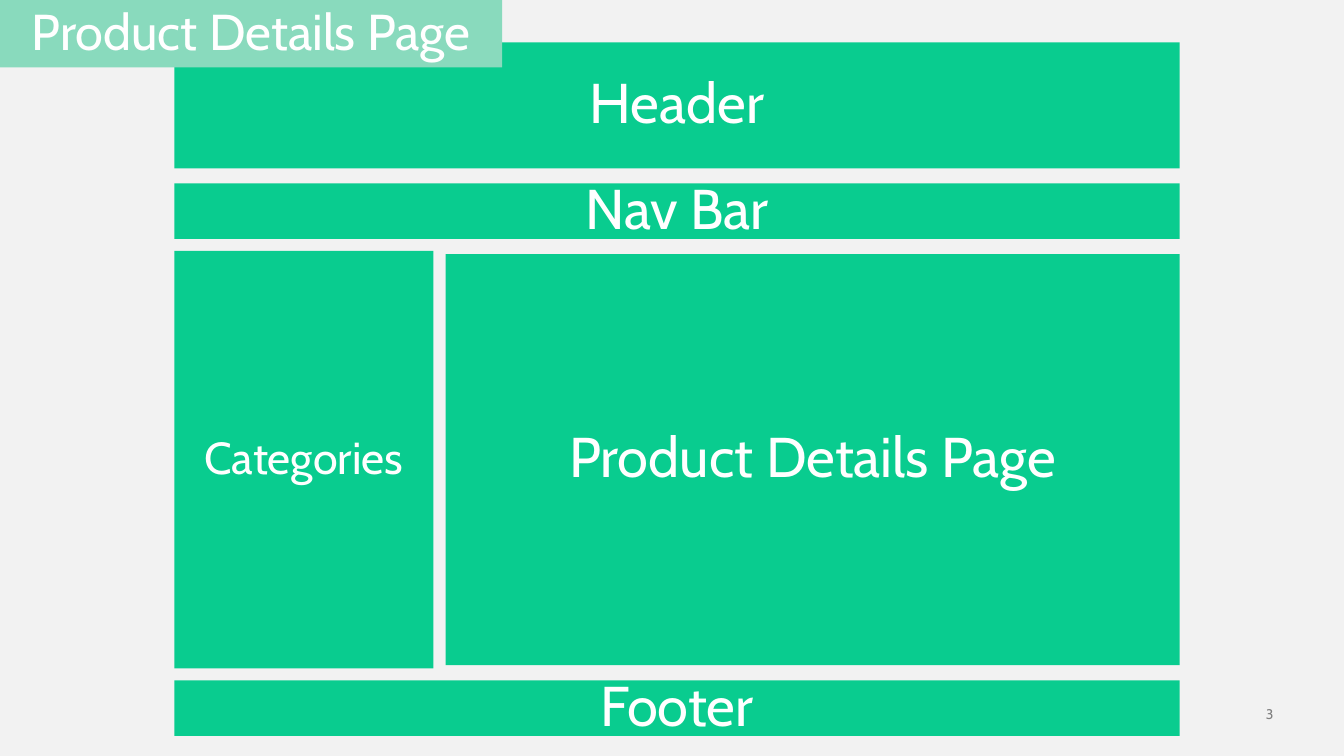
from dataclasses import dataclass

from pptx import Presentation
from pptx.dml.color import RGBColor as Color
from pptx.enum.shapes import MSO_SHAPE as Shape
from pptx.enum.text import MSO_ANCHOR as Anchor, PP_ALIGN as Align
from pptx.util import Inches, Pt


@dataclass(frozen=True)
class Theme:
    font: str = "Cabin"
    background: str = "F2F2F2"
    block: str = "09CC8F"
    tag: str = "89DABD"
    label: str = "FFFFFF"
    page_number: str = "808080"
    region_size: int = 40
    tag_size: int = 36
    sidebar_size: int = 32
    number_size: int = 10


THEME = Theme()

# Page grid, in inches: stacked rows with one gap between them
LEFT, WIDTH = 1.73, 9.97
TOP, ROW_GAP = 0.42, 0.15
ROW_HEIGHTS = {"Header": 1.25, "Nav Bar": 0.55, "Product Details Page": 4.08, "Footer": 0.55}
BODY = "Product Details Page"
SIDEBAR_WIDTH, COLUMN_GAP = 2.57, 0.12
SIDEBAR_OVERHANG = 0.03


def write(frame, text, size, color, align):
    frame.text = text
    paragraph = frame.paragraphs[0]
    paragraph.alignment = align
    font = paragraph.runs[0].font
    font.name, font.size = THEME.font, Pt(size)
    font.color.rgb = Color.from_string(color)
    return paragraph


def add_block(slide, text, left, top, width, height, size=THEME.region_size, fill=THEME.block):
    block = slide.shapes.add_shape(Shape.RECTANGLE, *map(Inches, (left, top, width, height)))
    block.shadow.inherit = False
    block.fill.solid()
    block.fill.fore_color.rgb = Color.from_string(fill)
    block.line.fill.background()
    block.text_frame.vertical_anchor = Anchor.MIDDLE
    label = write(block.text_frame, text, size, THEME.label, Align.CENTER)
    label.line_spacing, label.space_after = 0.9, Pt(10)


def add_page_number(slide, number):
    frame = slide.shapes.add_textbox(*map(Inches, (12.21, 7, 0.42, 0.17))).text_frame
    frame.margin_left = frame.margin_right = frame.margin_top = frame.margin_bottom = 0
    frame.word_wrap = True
    frame.vertical_anchor = Anchor.BOTTOM
    write(frame, number, THEME.number_size, THEME.page_number, Align.RIGHT)


def main():
    deck = Presentation()
    deck.slide_width, deck.slide_height = Inches(13.33), Inches(7.5)
    slide = deck.slides.add_slide(deck.slide_layouts[6])
    slide.background.fill.solid()
    slide.background.fill.fore_color.rgb = Color.from_string(THEME.background)

    add_page_number(slide, "3")

    # Page regions, with the sidebar beside the body
    top = TOP
    for region, height in ROW_HEIGHTS.items():
        indent = 0
        if region == BODY:
            indent = SIDEBAR_WIDTH + COLUMN_GAP
            add_block(slide, "Categories", LEFT, top - SIDEBAR_OVERHANG, SIDEBAR_WIDTH,
                      height + 2 * SIDEBAR_OVERHANG, THEME.sidebar_size)
        add_block(slide, region, LEFT + indent, top, WIDTH - indent, height)
        top += height + ROW_GAP

    # Title tag over the header's corner
    add_block(slide, BODY, 0, 0, 4.98, 0.67, THEME.tag_size, THEME.tag)

    deck.save("out.pptx")


if __name__ == "__main__":
    main()
